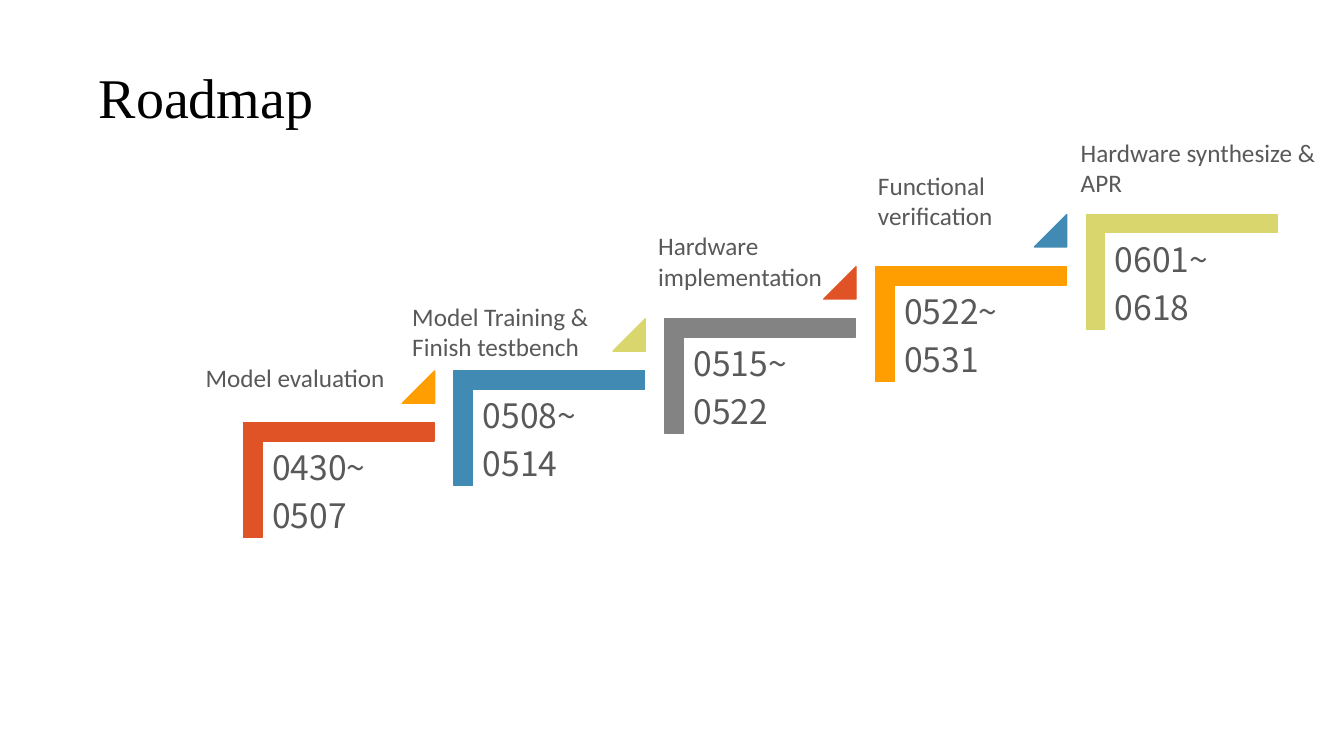
from dataclasses import dataclass

from lxml.etree import SubElement
from pptx import Presentation
from pptx.dml.color import RGBColor
from pptx.enum.shapes import MSO_SHAPE as Preset
from pptx.enum.text import MSO_ANCHOR as Anchor, MSO_AUTO_SIZE as AutoSize, PP_ALIGN as Align
from pptx.oxml.ns import qn
from pptx.util import Inches, Pt

GRID_UNIT = 0.1
STEP_COLUMNS = 20.9
STEP_ROWS = 5.17
TEXT_GREY = "595959"
TITLE_STYLE = {"name": "Times New Roman", "size": Pt(40)}
DATE_STYLE = {"name": "Noto Sans CJK SC", "size": Pt(24)}
LABEL_STYLE = {"name": "Calibri", "size": Pt(18)}


@dataclass(frozen=True)
class Cell:
    column: float
    row: float
    columns: float
    rows: float

    def climb(self, steps: int) -> "Cell":
        return Cell(self.column + steps * STEP_COLUMNS, self.row - steps * STEP_ROWS,
                    self.columns, self.rows)

    def lengths(self) -> list:
        return [Inches(units * GRID_UNIT)
                for units in (self.column, self.row, self.columns, self.rows)]


@dataclass(frozen=True)
class Stage:
    label: tuple
    label_cell: Cell
    dates: tuple
    colour: str
    arrow_colour: str = ""


CORNER = Cell(27.9, 38.2, 11.4, 18.9)
DATES = Cell(26, 43.8, 17.1, 15)
ARROW = Cell(39.9, 36.8, 3.2, 3.2)
TITLE = Cell(8.8, 5.3, 97.4, 8.2)

STAGES = [
    Stage(("Model evaluation",), Cell(19.4, 35.5, 22.9, 4),
          ("0430~", "0507"), "DF5327", "FE9E00"),
    Stage(("Model Training &", "Finish testbench"), Cell(39.9, 29.4, 22.9, 7.1),
          ("0508~", "0514"), "418AB3", "D9D66D"),
    Stage(("Hardware", "implementation"), Cell(64.3, 22.4, 25.3, 7.1),
          ("0515~", "0522"), "838383", "DF5327"),
    Stage(("Functional", "verification"), Cell(86.1, 16.4, 25.3, 7.1),
          ("0522~", "0531"), "FE9E00", "418AB3"),
    Stage(("Hardware synthesize &", "APR"), Cell(106.2, 13.1, 29.9, 7.1),
          ("0601~", "0618"), "D9D66D"),
]


def colour_of(value: str) -> RGBColor:
    return RGBColor.from_string(value)


def apply(target, values: dict) -> None:
    for name, value in values.items():
        setattr(target, name, value)


def write_lines(frame, lines: tuple, style: dict, colour: str, spacing: float = 1.0) -> None:
    for index, line in enumerate(lines):
        para = frame.add_paragraph() if index else frame.paragraphs[0]
        apply(para, {"alignment": Align.LEFT, "line_spacing": spacing})
        span = para.add_run()
        span.text = line
        apply(span.font, style)
        span.font.color.rgb = colour_of(colour)


def add_text(page, cell: Cell, lines: tuple, style: dict, spacing: float = 1.0):
    frame = page.shapes.add_textbox(*cell.lengths()).text_frame
    frame.word_wrap = True
    write_lines(frame, lines, style, TEXT_GREY, spacing)
    return frame


def add_preset(page, preset, cell: Cell, colour: str, adjustments: tuple):
    box = page.shapes.add_shape(preset, *cell.lengths())
    box.shadow.inherit = False
    for index, value in enumerate(adjustments):
        box.adjustments[index] = value
    box.fill.solid()
    box.fill.fore_color.rgb = colour_of(colour)
    box.line.color.rgb = colour_of(colour)
    box.line.width = Pt(1)
    return box


def add_corner(page, cell: Cell, colour: str) -> None:
    box = add_preset(page, Preset.HALF_FRAME, cell, colour, (0.16, 0.16))
    box.rotation = 90
    box._element.spPr.find(qn("a:prstGeom")).set("prst", "corner")


def add_dates(page, cell: Cell, dates: tuple) -> None:
    frame = add_text(page, cell, dates, DATE_STYLE, 0.9)
    margin = Inches(0.1)
    apply(frame, {"margin_left": margin, "margin_right": margin,
                  "margin_top": margin, "margin_bottom": margin})
    for para in frame.paragraphs:
        after = SubElement(para._p.get_or_add_pPr(), qn("a:spcAft"))
        SubElement(after, qn("a:spcPct"), val="35000")


def add_stage(page, stage: Stage, steps: int) -> None:
    add_corner(page, CORNER.climb(steps), stage.colour)
    add_dates(page, DATES.climb(steps), stage.dates)
    if stage.arrow_colour:
        add_preset(page, Preset.ISOSCELES_TRIANGLE, ARROW.climb(steps), stage.arrow_colour, (1,))
    frame = add_text(page, stage.label_cell, stage.label, LABEL_STYLE)
    frame.auto_size = AutoSize.SHAPE_TO_FIT_TEXT


def add_title(page, text: str) -> None:
    box = page.shapes.title
    apply(box, dict(zip(("left", "top", "width", "height"), TITLE.lengths())))
    apply(box.text_frame, {"vertical_anchor": Anchor.BOTTOM, "word_wrap": True,
                           "auto_size": AutoSize.NONE})
    write_lines(box.text_frame, (text,), TITLE_STYLE, "000000", 0.9)


def main() -> None:
    deck = Presentation()
    apply(deck, {"slide_width": Inches(13.33), "slide_height": Inches(7.5)})
    page = deck.slides.add_slide(deck.slide_layouts.get_by_name("Title Only"))
    add_title(page, "Roadmap")
    for steps, stage in enumerate(STAGES):
        add_stage(page, stage, steps)
    deck.save("out.pptx")


if __name__ == "__main__":
    main()
